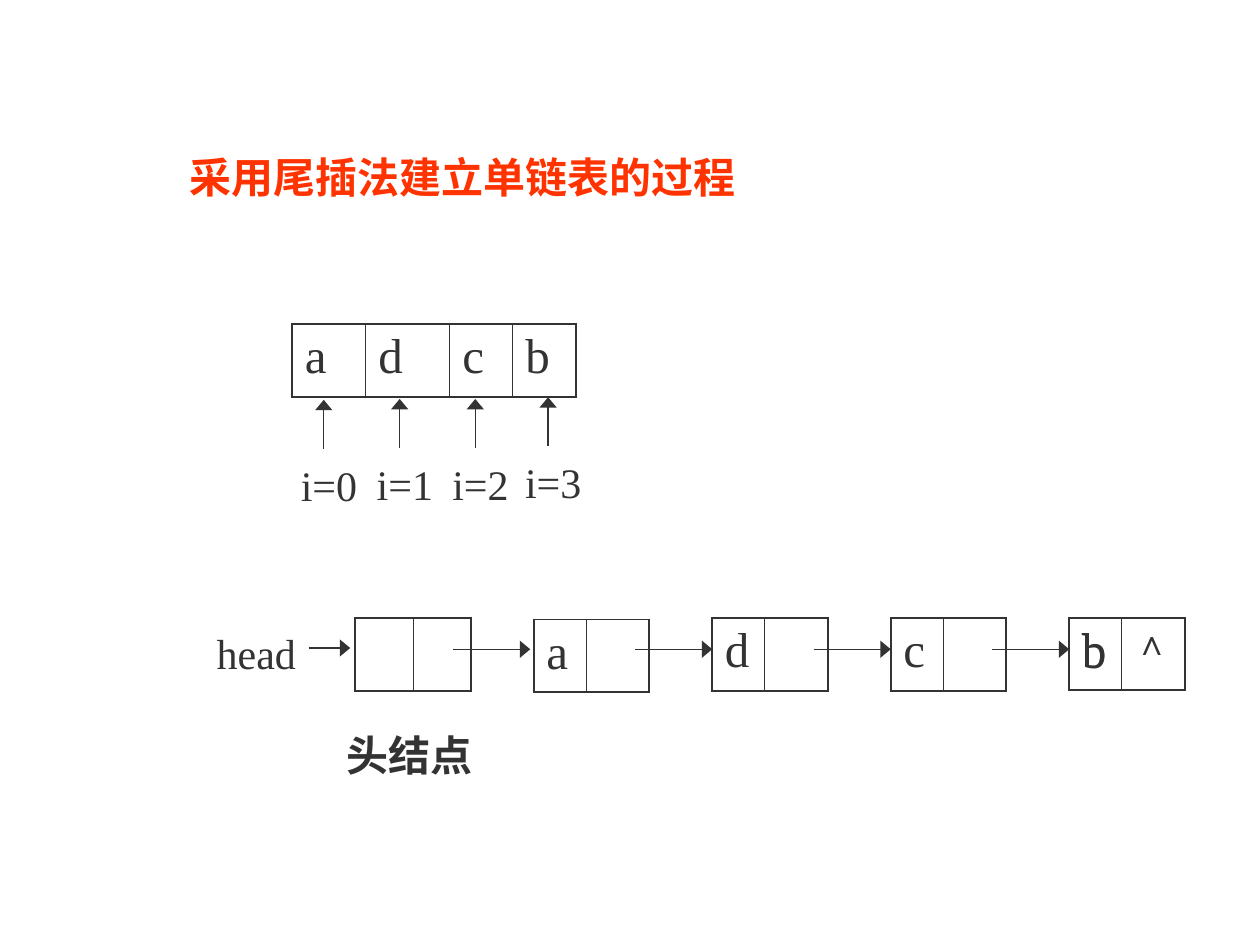
import pptx
import pptx.dml.color
import pptx.enum.shapes
import pptx.enum.text
import pptx.oxml
import pptx.oxml.ns
import pptx.util

Pt = pptx.util.Pt
INK = pptx.dml.color.RGBColor(0x33, 0x33, 0x33)
RED = pptx.dml.color.RGBColor(0xFF, 0x33, 0x00)
FONT = "Times New Roman"
NS = pptx.oxml.ns.nsdecls("a")
OUTER, INNER = 1.08, 0.45
ROW_H, LOW_ROW_H = 42, 41.3
NODE_COLS = [30, 36]


def style(tf, size, color=INK, bold=False):
    for p in tf.paragraphs:
        p.alignment = pptx.enum.text.PP_ALIGN.LEFT
        p.space_before = Pt(0)
        for r in p.runs:
            r.font.name, r.font.size, r.font.bold = FONT, Pt(size), bold
            r.font.color.rgb = color


def fill_text(sp, text, box, color=INK, bold=False):
    """Place a text shape in box and set its 24-point text."""
    sp.left, sp.top, sp.width, sp.height = map(Pt, box)
    tf = sp.text_frame
    tf.word_wrap = True
    tf.auto_size = pptx.enum.text.MSO_AUTO_SIZE.SHAPE_TO_FIT_TEXT
    tf.vertical_anchor = pptx.enum.text.MSO_ANCHOR.TOP
    tf.text = text
    style(tf, 24, color, bold)


def add_label(s, text, box, bold=False):
    fill_text(s.shapes.add_textbox(*map(Pt, box)), text, box, bold=bold)


def add_arrow(s, x1, y1, x2, y2):
    line = s.shapes.add_connector(
        pptx.enum.shapes.MSO_CONNECTOR.STRAIGHT, Pt(x1), Pt(y1), Pt(x2), Pt(y2))
    line.line.color.rgb = INK
    line.line.width = Pt(0.75)
    line.line._get_or_add_ln().append(
        pptx.oxml.parse_xml(f'<a:tailEnd {NS} type="triangle" w="lg" len="med"/>'))
    line._element.spPr.append(pptx.oxml.parse_xml(f"<a:effectLst {NS}/>"))


def set_borders(cell, left, right):
    tcPr = cell._tc.get_or_add_tcPr()
    widths = {"lnL": left, "lnR": right, "lnT": OUTER, "lnB": OUTER}
    for i, (tag, width) in enumerate(widths.items()):
        tcPr.insert(i, pptx.oxml.parse_xml(
            f'<a:{tag} {NS} w="{Pt(width)}"><a:solidFill>'
            f'<a:srgbClr val="{INK}"/></a:solidFill></a:{tag}>'))


def add_cells(s, left, top, widths, texts, height=ROW_H):
    """Add a one-row table with a heavy frame and thin dividers."""
    table = s.shapes.add_table(1, len(widths), Pt(left), Pt(top),
                               Pt(sum(widths)), Pt(height)).table
    table.first_row = table.horz_banding = False
    last = len(widths) - 1
    for i, (width, text) in enumerate(zip(widths, texts)):
        table.columns[i].width = Pt(width)
        cell = table.cell(0, i)
        is_end_mark = text == "∧"
        if text:
            cell.text = text
            style(cell.text_frame, 20 if is_end_mark else 28, bold=is_end_mark)
        cell.fill.background()
        set_borders(cell, INNER if i else OUTER, INNER if i < last else OUTER)


def add_array(s, left, top):
    """Draw the source array with an index arrow below each element."""
    add_cells(s, left, top, [42, 48, 36, 36], "adcb")
    for i, (dx, dy) in enumerate([(18, 43.5), (61.4, 43), (104.6, 43), (146.2, 42)]):
        x, y = left + dx, top + dy
        add_arrow(s, x, y + 28, x, y)
        add_label(s, f"i={i}", (x - 20.2, y + 30.5, 48.2, 36))


def add_linked_list(s, left, top):
    """Draw the head node and the chain of data nodes after it."""
    add_cells(s, left, top, [33, 33], ["", ""])
    add_arrow(s, left - 26.6, top + 17.3, left - 2.9, top + 17.3)
    add_label(s, "head", (left - 86.2, top + 2, 66, 36))
    add_label(s, "头结点", (left - 12.2, top + 60.3, 96, 36), bold=True)
    nodes = [("a", 1, LOW_ROW_H, 2), ("d", 0, ROW_H, 0),
             ("c", 0, ROW_H, 0), ("b", 0, LOW_ROW_H, 0)]
    for i, (value, drop, height, gap) in enumerate(nodes, 1):
        x, y = left + 102 * i, top + 18
        add_cells(s, x, top + drop, NODE_COLS, [value, ""], height)
        add_arrow(s, x - 44 - gap, y, x - gap, y)
    # The last node is redrawn once its pointer is null
    add_cells(s, x, top + 0.3, NODE_COLS, [value, "∧"], LOW_ROW_H)


def main():
    prs = pptx.Presentation()
    prs.slide_width, prs.slide_height = Pt(720), Pt(540)
    s = prs.slides.add_slide(prs.slide_layouts[5])
    add_array(s, 167, 185)
    add_linked_list(s, 203, 353)
    fill_text(s.shapes.title, "采用尾插法建立单链表的过程",
              (101, 83, 348, 36), RED, bold=True)
    prs.save("out.pptx")


if __name__ == "__main__":
    main()
